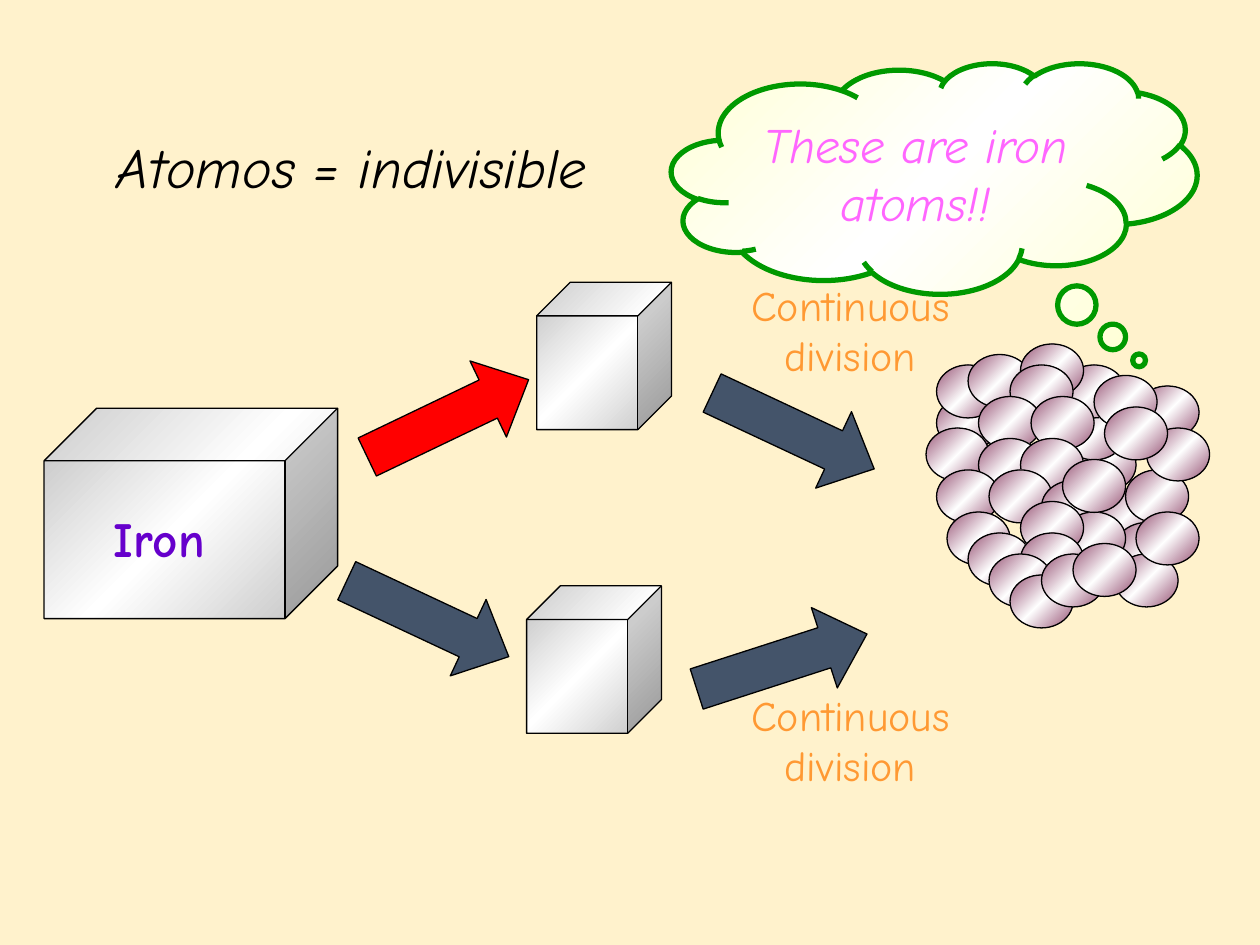
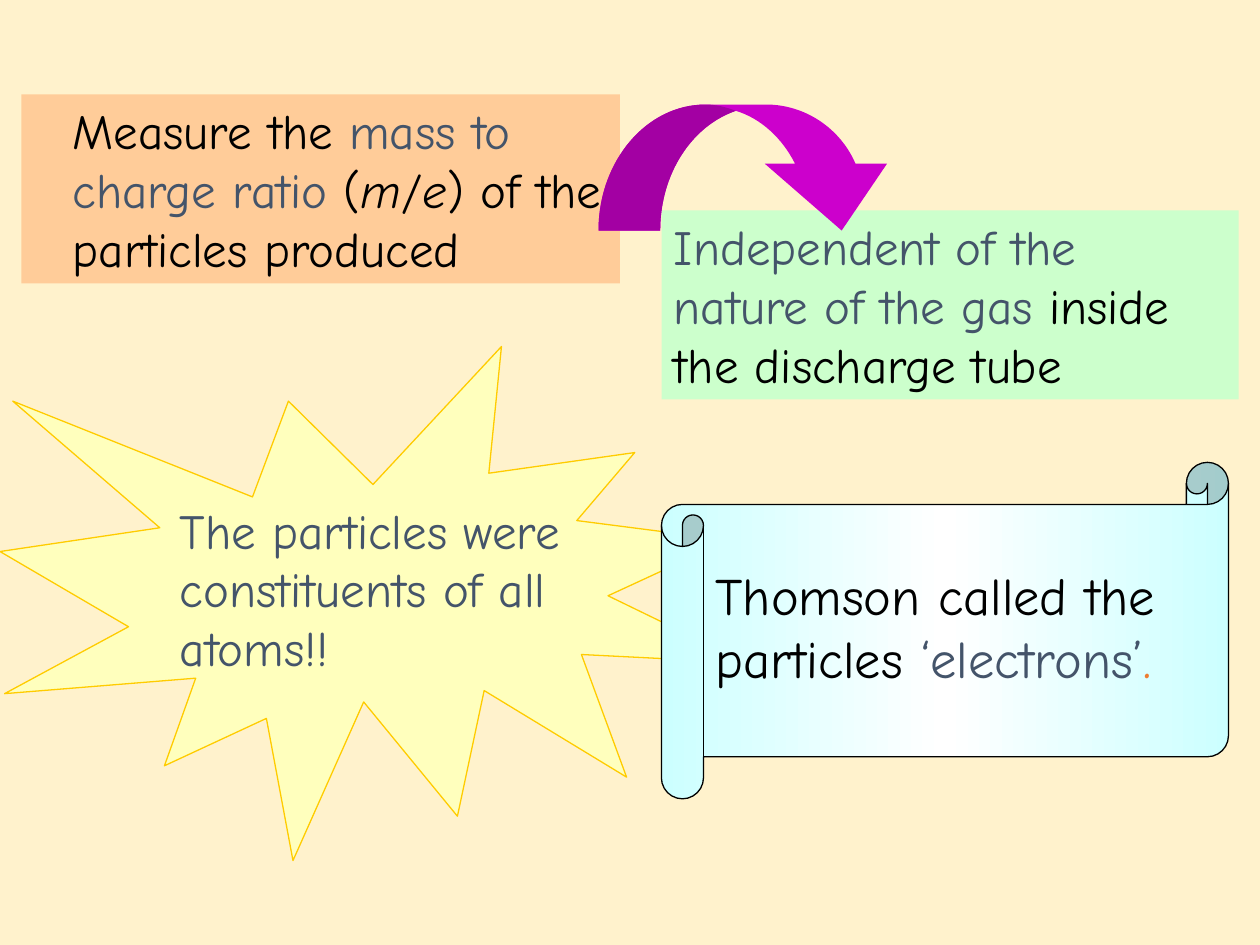
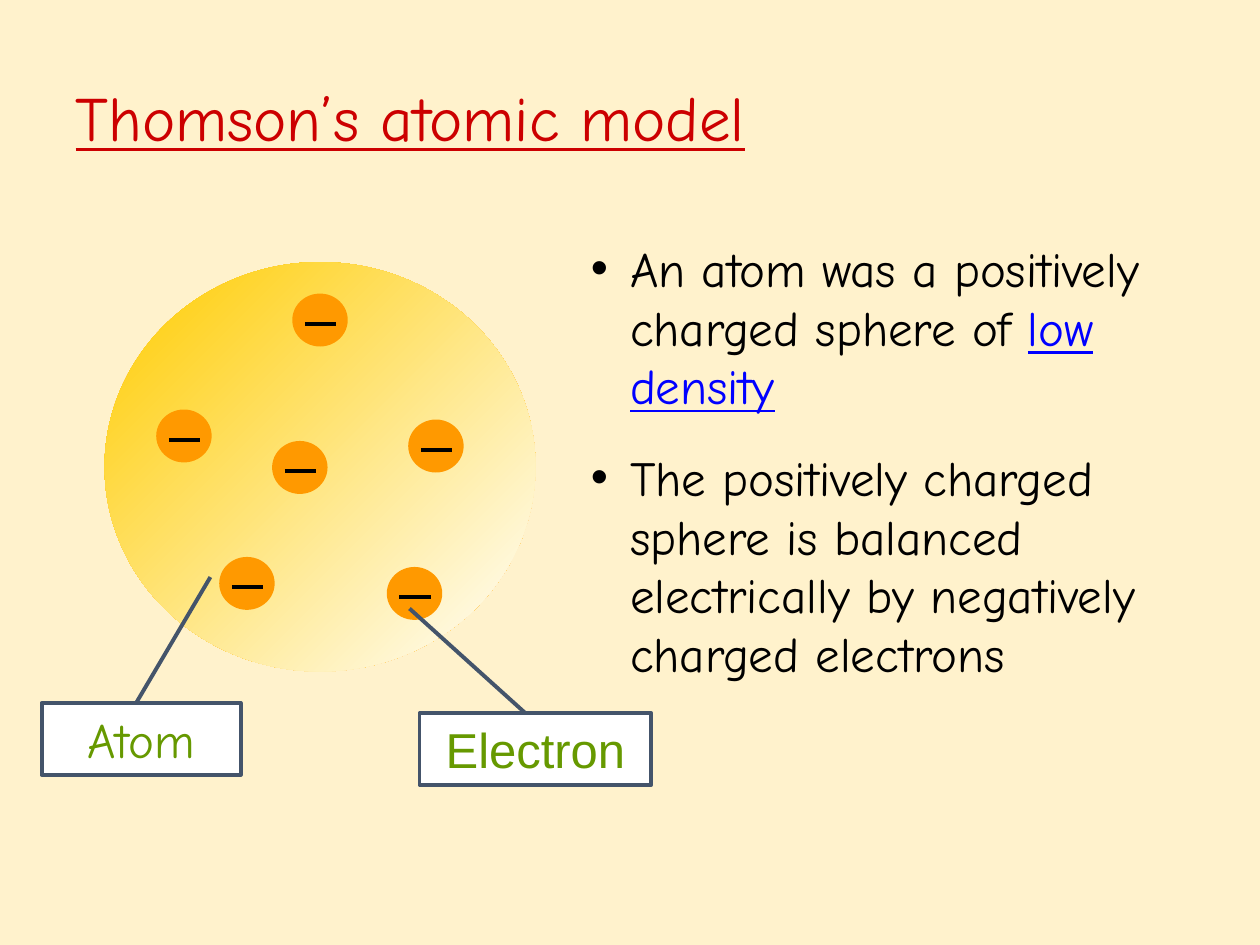
from dataclasses import dataclass
from typing import NamedTuple

from lxml import etree
from pptx import Presentation
from pptx.dml.color import RGBColor
from pptx.enum.shapes import MSO_CONNECTOR, MSO_SHAPE
from pptx.enum.text import MSO_ANCHOR, MSO_AUTO_SIZE, PP_ALIGN
from pptx.oxml.ns import qn
from pptx.shapes.autoshape import Shape
from pptx.slide import Slide
from pptx.text.text import TextFrame
from pptx.util import Inches, Pt

CUBE, CLOUD, OVAL = MSO_SHAPE.CUBE, MSO_SHAPE.CLOUD_CALLOUT, MSO_SHAPE.OVAL
DOWN_ARROW, RECTANGLE = MSO_SHAPE.DOWN_ARROW, MSO_SHAPE.RECTANGLE
BURST, SCROLL = MSO_SHAPE.EXPLOSION1, MSO_SHAPE.HORIZONTAL_SCROLL
STRAIGHT = MSO_CONNECTOR.STRAIGHT
LEFT, CENTER = PP_ALIGN.LEFT, PP_ALIGN.CENTER
TOP, MIDDLE = MSO_ANCHOR.TOP, MSO_ANCHOR.MIDDLE
NO_AUTOFIT = MSO_AUTO_SIZE.NONE

COMIC, ARIAL = "Comic Neue", "Arial"
TWO_CONTENT_LAYOUT, BLANK_LAYOUT = 3, 6

CREAM = RGBColor(0xFF, 0xF2, 0xCC)
BLACK = RGBColor(0x00, 0x00, 0x00)
WHITE = RGBColor(0xFF, 0xFF, 0xFF)
SLATE = RGBColor(0x44, 0x54, 0x6A)
SILVER = RGBColor(0xC0, 0xC0, 0xC0)
PLUM = RGBColor(0x95, 0x4F, 0x72)
RED = RGBColor(0xFF, 0x00, 0x00)
DARK_RED = RGBColor(0xCC, 0x00, 0x00)
VIOLET = RGBColor(0x66, 0x00, 0xCC)
PINK = RGBColor(0xFF, 0x66, 0xFF)
LIGHT_ORANGE = RGBColor(0xFF, 0x99, 0x33)
ORANGE = RGBColor(0xFF, 0x99, 0x00)
RUST = RGBColor(0xED, 0x7D, 0x31)
PEACH = RGBColor(0xFF, 0xCC, 0x99)
MINT = RGBColor(0xCC, 0xFF, 0xCC)
GREEN = RGBColor(0x00, 0x99, 0x00)
OLIVE = RGBColor(0x66, 0x99, 0x00)
BLUE = RGBColor(0x00, 0x00, 0xFF)
ICE = RGBColor(0xCC, 0xFF, 0xFF)
IVORY = RGBColor(0xFF, 0xFF, 0xD5)
LEMON = RGBColor(0xFF, 0xFF, 0xBD)
GOLD = RGBColor(0xFF, 0xCC, 0x00)
MAGENTA = RGBColor(0xCC, 0x00, 0xCC)

Point = tuple[float, float]


class Area(NamedTuple):
    left: float
    top: float
    width: float
    height: float

    def lengths(self) -> list[int]:
        return [Inches(value) for value in self]


@dataclass
class Span:
    text: str
    color: RGBColor = BLACK
    font: str = COMIC
    bold: bool = False
    italic: bool = False
    underline: bool = False


@dataclass
class Gradient:
    colors: list[RGBColor]
    angle: float = 315


@dataclass
class Border:
    color: RGBColor
    points: float = 0.75


class Arrow(NamedTuple):
    left: float
    top: float
    rotation: float
    color: RGBColor


class Step(NamedTuple):
    """One drawing command of an outline with its points."""
    command: str
    points: list[Point]


THIN_BLACK = Border(BLACK)
LABEL_BORDER = Border(SLATE, 2.25)
METAL = Gradient([SILVER, WHITE, SILVER])
ATOM_SHINE = Gradient([PLUM, WHITE, PLUM])

IRON_CUBES = [Area(0.35, 3.24, 2.33, 1.67), Area(4.26, 2.24, 1.07, 1.17), Area(4.18, 4.65, 1.07, 1.17)]
DIVISION_ARROWS = [
    Arrow(5.87, 4.54, 252.1, SLATE),
    Arrow(5.96, 2.71, 295.1, SLATE),
    Arrow(3.22, 2.61, 244.4, RED),
    Arrow(3.06, 4.2, 295.1, SLATE),
]
# Iron atoms lie on a grid of twelfths of an inch, listed from back to front.
ATOM_STEP = 1 / 12
ATOM_ORIGIN = (7.35, 2.73)
IRON_ATOMS = [
    (1, 5), (1, 2), (4, 1), (0, 8), (14, 9), (13, 6), (13, 2), (9, 0), (8, 2),
    (5, 5), (5, 9), (10, 5), (9, 9), (1, 12), (6, 12), (11, 13), (2, 16),
    (16, 14), (20, 4), (18, 17), (13, 16), (9, 15), (19, 12), (21, 8), (16, 3),
    (17, 6), (4, 18), (13, 11), (9, 18), (6, 20), (8, 22), (11, 20), (18, 20),
    (20, 16), (14, 19),
]
ELECTRONS = [(1.24, 3.25), (2.16, 3.5), (3.24, 3.33), (3.07, 4.5), (1.74, 4.42), (2.32, 2.33)]

ARROW_AREA = Area(4.75, 0.83, 2.42, 1)
ARROW_BACK_START = [
    Step("moveTo", [(4.75, 1.83)]),
    Step("cubicBezTo", [(4.75, 1.28), (5.13, 0.83), (5.6, 0.83)]),
]
ARROW_BACK_END = [
    Step("cubicBezTo", [(5.49, 1), (5.24, 1.38), (5.24, 1.83)]),
    Step("close", []),
]
ARROW_FRONT = [
    Step("lnTo", [(6.08, 0.83)]),
    Step("cubicBezTo", [(6.39, 0.83), (6.67, 1.02), (6.79, 1.3)]),
    Step("lnTo", [(7.04, 1.3)]),
    Step("lnTo", [(6.68, 1.83)]),
    Step("lnTo", [(6.07, 1.3)]),
    Step("lnTo", [(6.31, 1.3)]),
    Step("cubicBezTo", [(6.21, 1.1), (6.04, 0.94), (5.84, 0.88)]),
]
ARROW_FOLD = [Step("cubicBezTo", [(5.68, 0.83), (5.76, 0.85), (5.84, 0.88)])]


def write(frame: TextFrame, spans: list[Span], size: float = 28, align: PP_ALIGN = LEFT,
          anchor: MSO_ANCHOR = TOP) -> None:
    frame.word_wrap = True
    frame.auto_size = NO_AUTOFIT
    frame.vertical_anchor = anchor
    para = frame.paragraphs[0]
    para.alignment = align
    para.space_before = Pt(0)
    for span in spans:
        run = para.add_run()
        run.text = span.text
        font = run.font
        font.name, font.size = span.font, Pt(size)
        font.bold, font.italic, font.underline = span.bold, span.italic, span.underline
        font.color.rgb = span.color


def add_text(slide: Slide, area: Area, spans: list[Span], size: float = 28,
             align: PP_ALIGN = LEFT) -> None:
    write(slide.shapes.add_textbox(*area.lengths()).text_frame, spans, size, align)


def paint(shape: Shape, fill: RGBColor | Gradient, border: Border | None = None) -> None:
    shape.shadow.inherit = False
    if isinstance(fill, Gradient):
        shape.fill.gradient()
        shape.fill.gradient_angle = fill.angle
        stops = shape._element.spPr.find(".//" + qn("a:gsLst"))
        for stop in list(stops):
            stops.remove(stop)
        for index, color in enumerate(fill.colors):
            position = 100000 * index // (len(fill.colors) - 1)
            stop = etree.SubElement(stops, qn("a:gs"), pos=str(position))
            etree.SubElement(stop, qn("a:srgbClr"), val=str(color))
    else:
        shape.fill.solid()
        shape.fill.fore_color.rgb = fill
    if border:
        shape.line.color.rgb = border.color
        shape.line.width = Pt(border.points)
    else:
        shape.line.fill.background()


def add_shape(slide: Slide, kind: MSO_SHAPE, area: Area, fill: RGBColor | Gradient,
              border: Border | None = None) -> Shape:
    shape = slide.shapes.add_shape(kind, *area.lengths())
    paint(shape, fill, border)
    return shape


def add_line(slide: Slide, start: Point, end: Point, color: RGBColor) -> None:
    ends = [Inches(value) for value in (*start, *end)]
    line = slide.shapes.add_connector(STRAIGHT, *ends)
    line.line.color.rgb = color
    line.line.width = Pt(2.25)
    etree.SubElement(line._element.spPr, qn("a:effectLst"))


def add_curved_arrow(slide: Slide) -> None:
    """Draw one freeform whose second outline shades the back of the arrow."""
    left, top, width, height = ARROW_AREA.lengths()
    builder = slide.shapes.build_freeform(left, top)
    builder.add_line_segments([(left + width, top), (left + width, top + height), (left, top + height)])
    arrow = builder.convert_to_shape()
    outlines = arrow._element.spPr.find(".//" + qn("a:pathLst"))
    for outline in list(outlines):
        outlines.remove(outline)
    whole = ARROW_BACK_START + ARROW_FRONT + ARROW_BACK_END
    back = ARROW_BACK_START + ARROW_FOLD + ARROW_BACK_END
    for steps, shade in ((whole, "norm"), (back, "darkenLess")):
        outline = etree.SubElement(outlines, qn("a:path"), w=str(width), h=str(height), fill=shade)
        for step in steps:
            command = etree.SubElement(outline, qn("a:" + step.command))
            for x, y in step.points:
                etree.SubElement(command, qn("a:pt"), x=str(Inches(x) - left), y=str(Inches(y) - top))
    paint(arrow, MAGENTA)


def place(placeholder: Shape, area: Area) -> None:
    placeholder.left, placeholder.top, placeholder.width, placeholder.height = area.lengths()


def add_bullet(placeholder: Shape, area: Area, spans: list[Span]) -> None:
    place(placeholder, area)
    properties = placeholder.text_frame.paragraphs[0]._p.get_or_add_pPr()
    properties.set("marL", str(Inches(0.31)))
    properties.set("indent", str(-Inches(0.31)))
    bullet_color = etree.SubElement(properties, qn("a:buClr"))
    etree.SubElement(bullet_color, qn("a:srgbClr"), val=str(BLACK))
    etree.SubElement(properties, qn("a:buFont"), typeface=ARIAL)
    etree.SubElement(properties, qn("a:buChar"), char="•")
    write(placeholder.text_frame, spans)


def add_label(slide: Slide, area: Area, text: str, font: str) -> None:
    box = add_shape(slide, RECTANGLE, area, WHITE, LABEL_BORDER)
    write(box.text_frame, [Span(text, OLIVE, font)], align=CENTER)


def add_electron(slide: Slide, left: float, top: float) -> None:
    add_shape(slide, OVAL, Area(left, top, 0.44, 0.42), ORANGE)
    add_line(slide, (left + 0.1, top + 0.24), (left + 0.35, top + 0.24), BLACK)


def build_division_slide(slide: Slide) -> None:
    for area in IRON_CUBES:
        add_shape(slide, CUBE, area, METAL, THIN_BLACK)
    add_text(slide, Area(0.68, 3.99, 1.17, 0.57), [Span("Iron", VIOLET, bold=True)], align=CENTER)
    for top in (2.17, 5.42):
        add_text(slide, Area(5.75, top, 2, 0.9), [Span("Continuous division", LIGHT_ORANGE)],
                 24, CENTER)
    for arrow in DIVISION_ARROWS:
        shape = add_shape(slide, DOWN_ARROW, Area(arrow.left, arrow.top, 0.67, 1.42),
                          arrow.color, THIN_BLACK)
        shape.adjustments[1] = 0.53
        shape.rotation = arrow.rotation
    for column, row in IRON_ATOMS:
        left, top = ATOM_ORIGIN[0] + column * ATOM_STEP, ATOM_ORIGIN[1] + row * ATOM_STEP
        add_shape(slide, OVAL, Area(left, top, 0.5, 0.42), ATOM_SHINE, THIN_BLACK)
    cloud = add_shape(slide, CLOUD, Area(5.33, 0.5, 4.17, 1.83),
                      Gradient([IVORY, WHITE, IVORY]), Border(GREEN, 3))
    cloud.adjustments[0], cloud.adjustments[1] = 0.39, 0.79
    write(cloud.text_frame, [Span("These are iron atoms!!", PINK, italic=True)],
          align=CENTER, anchor=MIDDLE)
    add_text(slide, Area(0.42, 1, 4.75, 0.64), [Span("Atomos = indivisible", italic=True)],
             32, CENTER)


def build_electron_slide(slide: Slide) -> None:
    measure = add_shape(slide, RECTANGLE, Area(0.17, 0.75, 4.75, 1.5), PEACH)
    measure.text_frame.paragraphs[0]._p.get_or_add_pPr().set("marL", str(Inches(0.31)))
    write(measure.text_frame, [
        Span("Measure the "), Span("mass to charge ratio ", SLATE), Span("("),
        Span("m", italic=True), Span("/"), Span("e", italic=True),
        Span(") of the particles produced"),
    ])
    finding = add_shape(slide, RECTANGLE, Area(5.25, 1.67, 4.58, 1.5), MINT)
    write(finding.text_frame, [
        Span("Independent of the nature of the gas ", SLATE), Span("inside the discharge tube"),
    ])
    add_curved_arrow(slide)
    add_shape(slide, BURST, Area(0, 2.75, 5.92, 4.08), LEMON, Border(GOLD))
    add_text(slide, Area(1.33, 3.92, 3.58, 1.5),
             [Span("The particles were constituents of all atoms!!", SLATE)])
    add_shape(slide, SCROLL, Area(5.25, 3.67, 4.5, 2.67),
              Gradient([ICE, WHITE, ICE], angle=0), THIN_BLACK)
    add_text(slide, Area(5.58, 4.42, 4.08, 1.1), [
        Span("Thomson called the particles "), Span("‘electrons’", SLATE), Span(".", RUST),
    ], 30)


def build_model_slide(slide: Slide) -> None:
    title, first_point, second_point = slide.placeholders
    place(title, Area(0.5, 0.59, 5.92, 0.75))
    write(title.text_frame, [Span("Thomson’s atomic model", DARK_RED, underline=True)],
          36, anchor=MIDDLE)
    title.text_frame.paragraphs[0].line_spacing = 0.9
    add_bullet(first_point, Area(4.59, 1.84, 5, 1.5), [
        Span("An atom was a positively charged sphere of "),
        Span("low density", BLUE, underline=True),
    ])
    add_bullet(second_point, Area(4.59, 3.5, 5.17, 1.97), [
        Span("The positively charged sphere is balanced electrically by negatively "
             "charged electrons"),
    ])
    add_shape(slide, OVAL, Area(0.83, 2.08, 3.42, 3.25), Gradient([GOLD, WHITE]))
    add_line(slide, (1.67, 4.58), (1.08, 5.58), SLATE)
    add_label(slide, Area(0.33, 5.58, 1.58, 0.57), "Atom", COMIC)
    for left, top in ELECTRONS:
        add_electron(slide, left, top)
    add_line(slide, (3.25, 4.83), (4.17, 5.66), SLATE)
    add_label(slide, Area(3.33, 5.66, 1.84, 0.57), "Electron", ARIAL)


def main() -> None:
    deck = Presentation()
    deck.slide_width, deck.slide_height = Inches(10), Inches(7.5)
    background = deck.slide_master.background.fill
    background.solid()
    background.fore_color.rgb = CREAM
    pages = [
        (BLANK_LAYOUT, build_division_slide),
        (BLANK_LAYOUT, build_electron_slide),
        (TWO_CONTENT_LAYOUT, build_model_slide),
    ]
    for layout, build in pages:
        build(deck.slides.add_slide(deck.slide_layouts[layout]))
    deck.save("out.pptx")


if __name__ == "__main__":
    main()
